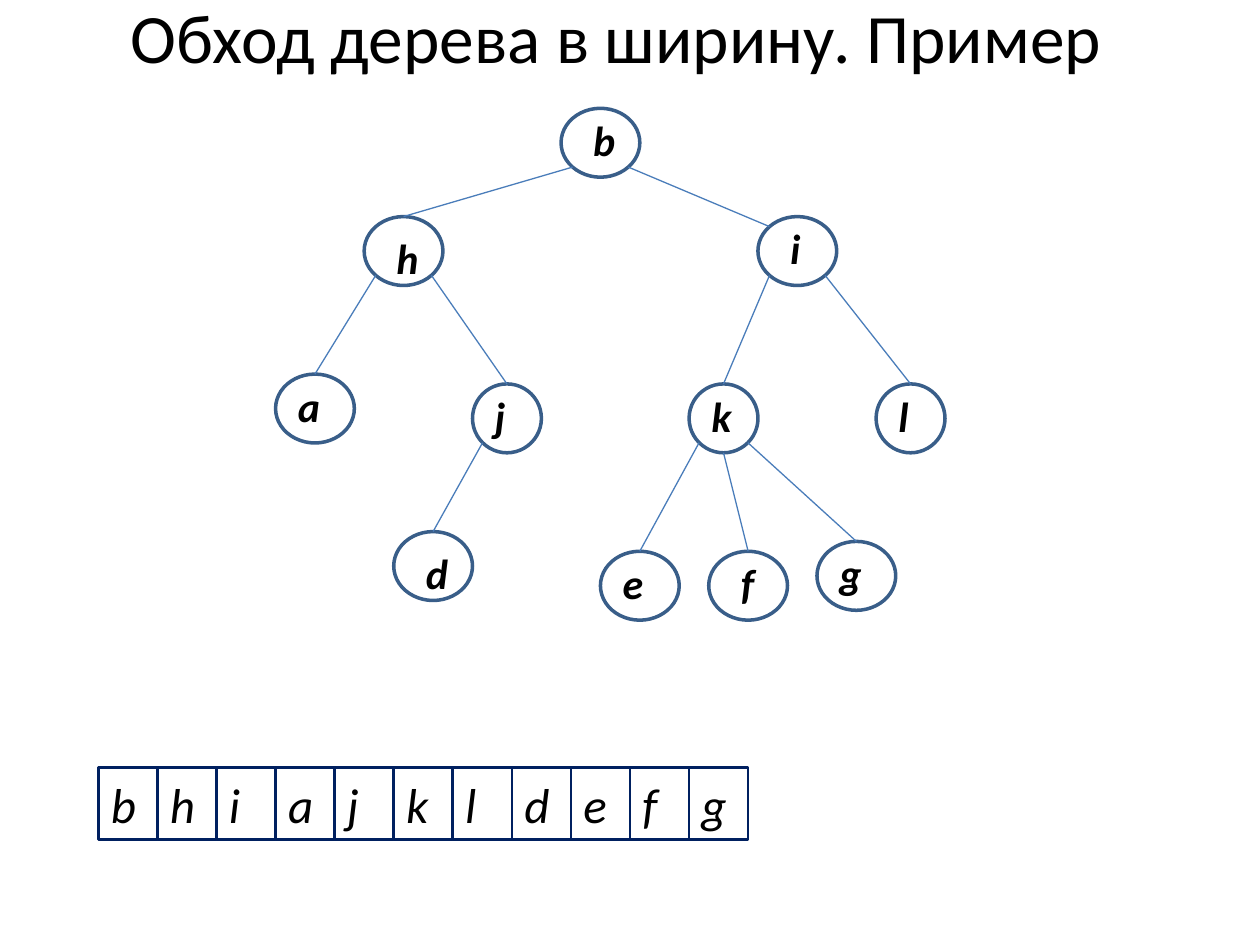
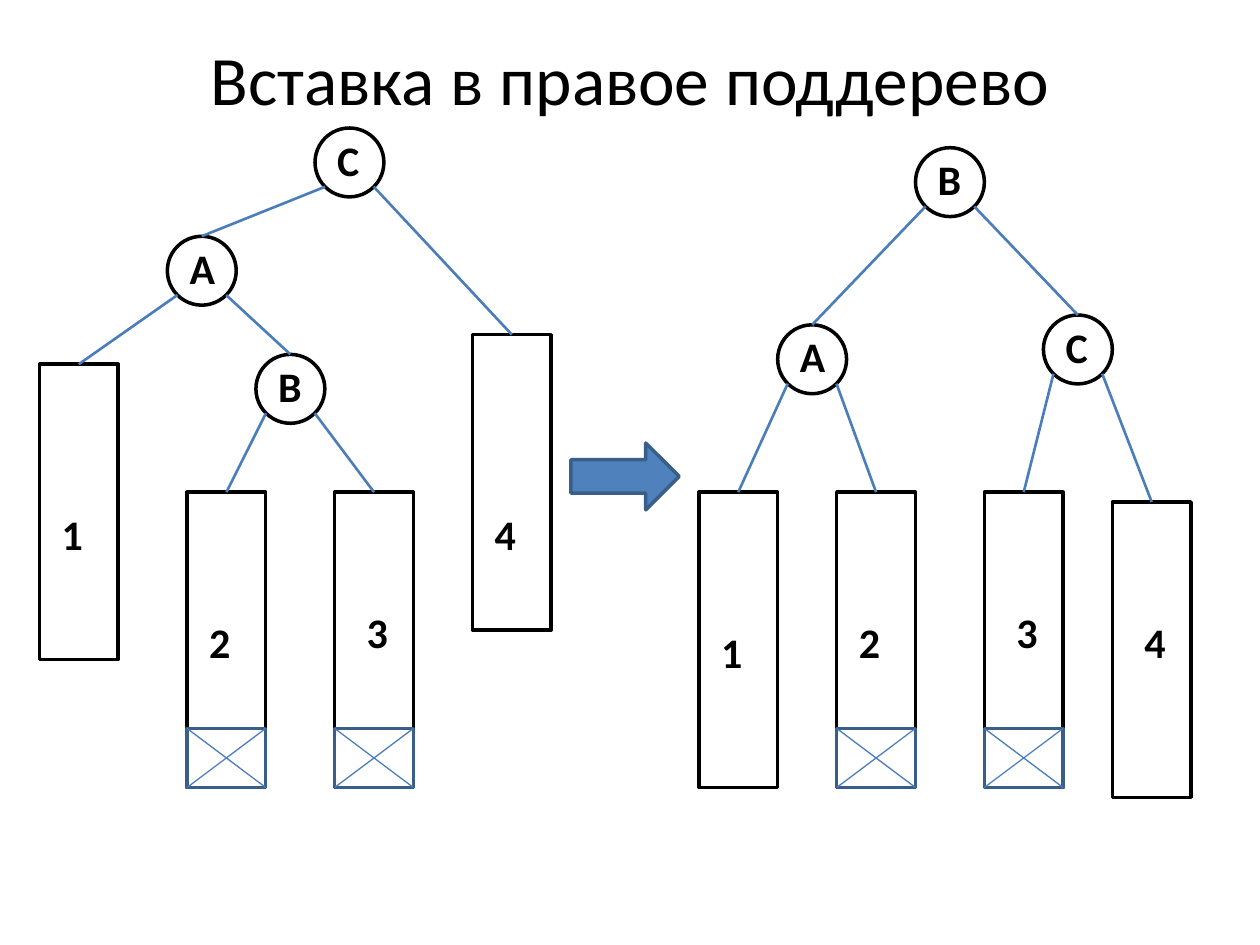
"""Builds two slides on breadth-first traversal and insertion into a right subtree."""
from lxml import etree
from pptx import Presentation
from pptx.dml.color import RGBColor
from pptx.enum.shapes import MSO_CONNECTOR, MSO_SHAPE
from pptx.enum.text import MSO_ANCHOR, MSO_AUTO_SIZE, PP_ALIGN
from pptx.oxml.ns import qn
from pptx.util import Pt

ELLIPSE, RECTANGLE, ARROW = MSO_SHAPE.OVAL, MSO_SHAPE.RECTANGLE, MSO_SHAPE.RIGHT_ARROW
STRAIGHT = MSO_CONNECTOR.STRAIGHT
MIDDLE = MSO_ANCHOR.MIDDLE
LEFT, CENTER = PP_ALIGN.LEFT, PP_ALIGN.CENTER
GROW, NO_FIT = MSO_AUTO_SIZE.SHAPE_TO_FIT_TEXT, MSO_AUTO_SIZE.NONE

COLORS = {"text": "000000", "outline": "395E89", "edge": "4A7DBA",
          "cell": "002060", "arrow": "4F81BD"}
FONT = "Calibri"
GRID = 5.625
DIAGONAL = 0.3536
SIDES = {1: (-1,), 2: (-1, 1), 3: (-1, 0, 1)}
OVAL, CIRCLE, BLOCK = (8, 7), (7, 7), (8, 30)
LABEL_WIDTHS = {"a": 27.4, "b": 28.1, "d": 27.4, "e": 26.6, "f": 22.3, "g": 25.2,
                "h": 27.4, "i": 20.2, "j": 20.9, "k": 26.6, "l": 20.2,
                "A": 29.5, "B": 29.5, "С": 27.4}
DIGIT_WIDTH = 26.6

TRAVERSAL_ORDER = "bhiajkldefg"
TRAVERSAL_NODES = {
    "b": (57, 11, OVAL, 2, 0), "h": (37, 22, OVAL, 2, 1), "i": (77, 22, OVAL, 2, 0),
    "a": (28, 38, OVAL, 1, 0), "j": (48, 39, CIRCLE, 1, 0), "k": (70, 39, CIRCLE, 1, 0),
    "l": (89, 39, CIRCLE, 1, 0), "d": (40, 54, OVAL, 2, 1), "e": (61, 56, OVAL, 1, 0),
    "f": (72, 56, OVAL, 2, 0), "g": (83, 55, OVAL, 1, 0)}
TRAVERSAL_CHILDREN = {"b": "hi", "h": "aj", "i": "kl", "j": "d", "k": "efg"}

BEFORE_NODES = {
    "С": (32, 13, CIRCLE, 1, 0), "A": (17, 24, CIRCLE, 1, 0), "B": (26, 36, CIRCLE, 1, 0),
    "1": (4, 37, BLOCK, 1, 14), "2": (19, 50, BLOCK, 1, 12),
    "3": (34, 50, BLOCK, 2, 11), "4": (48, 34, BLOCK, 1, 17)}
BEFORE_CHILDREN = {"С": "A4", "A": "1B", "B": "23"}
AFTER_NODES = {
    "B": (93, 15, CIRCLE, 1, 0), "A": (79, 33, CIRCLE, 1, 0), "С": (106, 32, CIRCLE, 1, 0),
    "1": (71, 50, BLOCK, 1, 13), "2": (85, 50, BLOCK, 1, 12),
    "3": (100, 50, BLOCK, 2, 11), "4": (113, 51, BLOCK, 2, 11)}
AFTER_CHILDREN = {"B": "AС", "A": "12", "С": "34"}


def grid(units):
    """Convert grid units to a length."""
    return Pt(units * GRID)


def color(name):
    """Look up a named colour."""
    return RGBColor.from_string(COLORS[name])


def format_text(text_frame, size, alignment=LEFT, bold=False, italic=False):
    """Format every run of a text frame."""
    for paragraph in text_frame.paragraphs:
        paragraph.alignment = alignment
        for run in paragraph.runs:
            font = run.font
            font.name, font.size = FONT, Pt(size)
            font.bold, font.italic = bold, italic
            font.color.rgb = color("text")


def add_titled_slide(presentation, title, left, top, height):
    """Add a slide with a placed title."""
    slide = presentation.slides.add_slide(presentation.slide_layouts[5])
    shape = slide.shapes.title
    shape.left, shape.top, shape.width, shape.height = Pt(left), Pt(top), Pt(648), Pt(height)
    text_frame = shape.text_frame
    text_frame.text = title
    text_frame.auto_size, text_frame.vertical_anchor = NO_FIT, MIDDLE
    format_text(text_frame, 39.6, CENTER)
    return slide


def add_outline(slide, kind, left, top, width, height, line, line_width=2, fill=None):
    """Add a preset shape measured in grid units."""
    shape = slide.shapes.add_shape(kind, grid(left), grid(top), grid(width), grid(height))
    shape.shadow.inherit = False
    shape.line.color.rgb = color(line)
    shape.line.width = Pt(line_width)
    if fill:
        shape.fill.solid()
        shape.fill.fore_color.rgb = color(fill)
    else:
        shape.fill.background()
    return shape


def add_line(slide, begin_x, begin_y, end_x, end_y, width):
    """Add a straight connector without a shadow."""
    connector = slide.shapes.add_connector(
        STRAIGHT, int(begin_x), int(begin_y), int(end_x), int(end_y))
    connector.line.color.rgb = color("edge")
    connector.line.width = Pt(width)
    etree.SubElement(connector._element.spPr, qn("a:effectLst"))
    return connector


def add_edge(slide, parent, child, side, width, to_corner):
    """Join a parent's lower rim to its child's top or upper left rim."""
    begin_x = parent.left + parent.width * (0.5 + side * DIAGONAL)
    begin_y = parent.top + parent.height * (0.5 + DIAGONAL if side else 1)
    end_x = child.left + child.width * (0.5 - DIAGONAL)
    end_y = child.top + child.height * (0.5 - DIAGONAL)
    connector = add_line(slide, begin_x, begin_y, end_x, end_y, width)
    if not to_corner:
        connector.end_connect(child, 0)


def add_label(slide, text, left, top, italic):
    """Add a bold node label."""
    width = LABEL_WIDTHS.get(text, DIGIT_WIDTH)
    shape = slide.shapes.add_textbox(grid(left), grid(top), Pt(width), Pt(36))
    text_frame = shape.text_frame
    text_frame.text = text
    text_frame.word_wrap, text_frame.auto_size = False, GROW
    format_text(text_frame, 24, bold=True, italic=italic)


def add_tree(slide, nodes, children, line, edge_width, italic=False, corner_nodes=""):
    """Draw nodes, then edges, then labels."""
    shapes = {}
    for name, (left, top, size, _, _) in nodes.items():
        kind = RECTANGLE if size == BLOCK else ELLIPSE
        shapes[name] = add_outline(slide, kind, left, top, *size, line)
    for parent, names in children.items():
        for name, side in zip(names, SIDES[len(names)]):
            add_edge(slide, shapes[parent], shapes[name], side, edge_width,
                     name in corner_nodes)
    for name, (left, top, _, label_x, label_y) in nodes.items():
        add_label(slide, name, left + label_x, top + label_y, italic)


def add_crossed_box(slide, left, top):
    """Add a box with both diagonals."""
    box = add_outline(slide, RECTANGLE, left, top, 8, 6, "outline")
    right, bottom = box.left + box.width, box.top + box.height
    add_line(slide, box.left, box.top, right, bottom, 0.75)
    add_line(slide, right, box.top, box.left, bottom, 0.75)


def add_cell(slide, text, left, top):
    """Add one cell of the traversal row."""
    shape = add_outline(slide, RECTANGLE, left, top, 6, 7.3, "cell", 1.5)
    text_frame = shape.text_frame
    text_frame.text = text
    text_frame.auto_size, text_frame.vertical_anchor = GROW, MIDDLE
    format_text(text_frame, 28, italic=True)


def build_traversal(presentation):
    """Build the breadth-first traversal slide."""
    slide = add_titled_slide(presentation, "Обход дерева в ширину. Пример", 28.1, 0, 40.3)
    add_tree(slide, TRAVERSAL_NODES, TRAVERSAL_CHILDREN, "outline", 0.75,
             italic=True, corner_nodes="i")
    for index, name in enumerate(TRAVERSAL_ORDER):
        add_cell(slide, name, 10 + 6 * index, 78)


def build_insertion(presentation):
    """Build the right subtree insertion slide."""
    slide = add_titled_slide(presentation, "Вставка в правое поддерево", 36, 21.6, 46)
    add_tree(slide, BEFORE_NODES, BEFORE_CHILDREN, "text", 1.5)
    add_tree(slide, AFTER_NODES, AFTER_CHILDREN, "text", 1.5)
    for nodes in (BEFORE_NODES, AFTER_NODES):
        for name in "23":
            left, top = nodes[name][:2]
            add_crossed_box(slide, left, top + 24)
    add_outline(slide, ARROW, 58, 45, 11, 6.8, "outline", fill="arrow")


def main():
    """Build and save the presentation."""
    presentation = Presentation()
    presentation.slide_width, presentation.slide_height = Pt(720), Pt(540)
    build_traversal(presentation)
    build_insertion(presentation)
    presentation.save("out.pptx")


if __name__ == "__main__":
    main()
